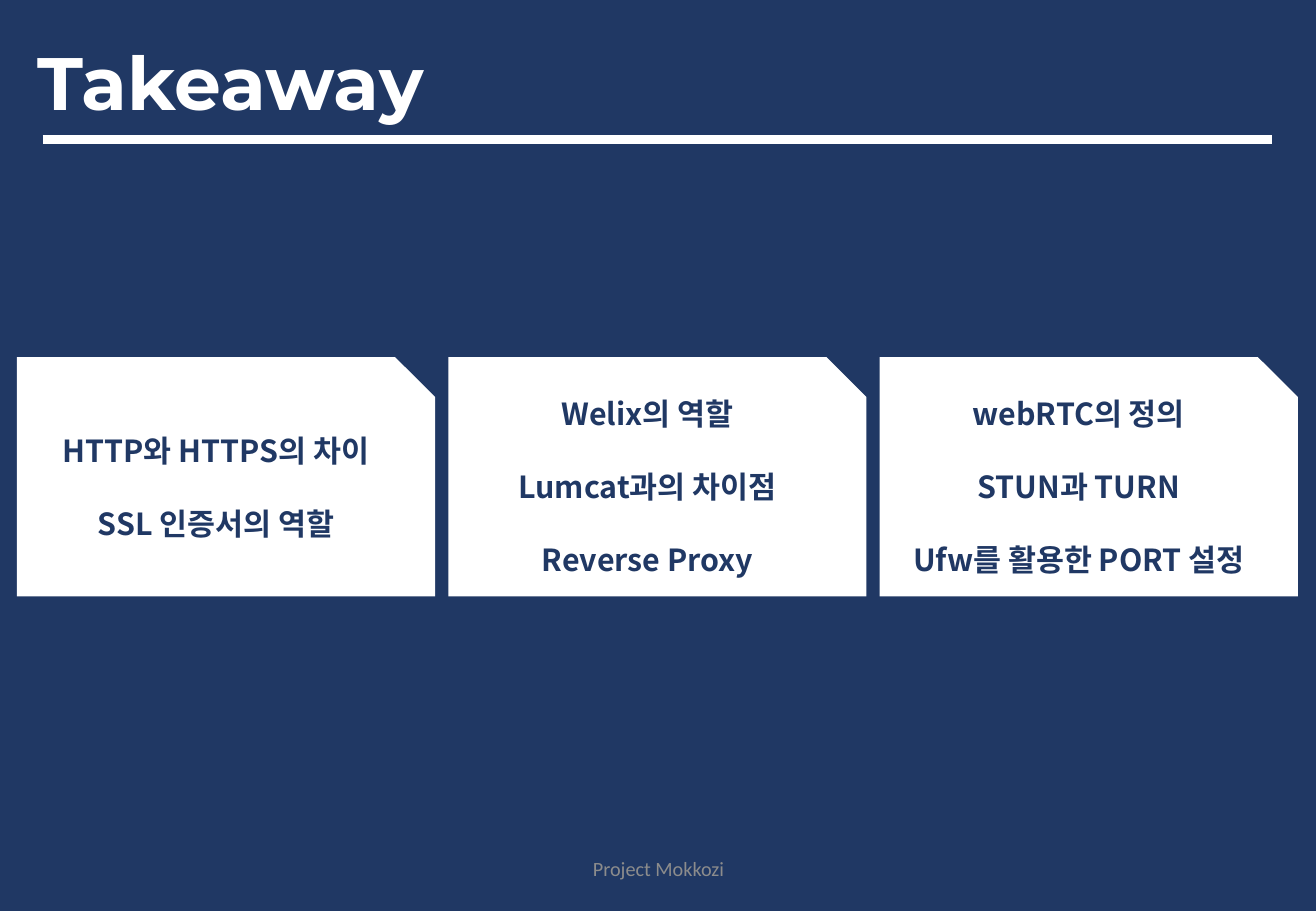
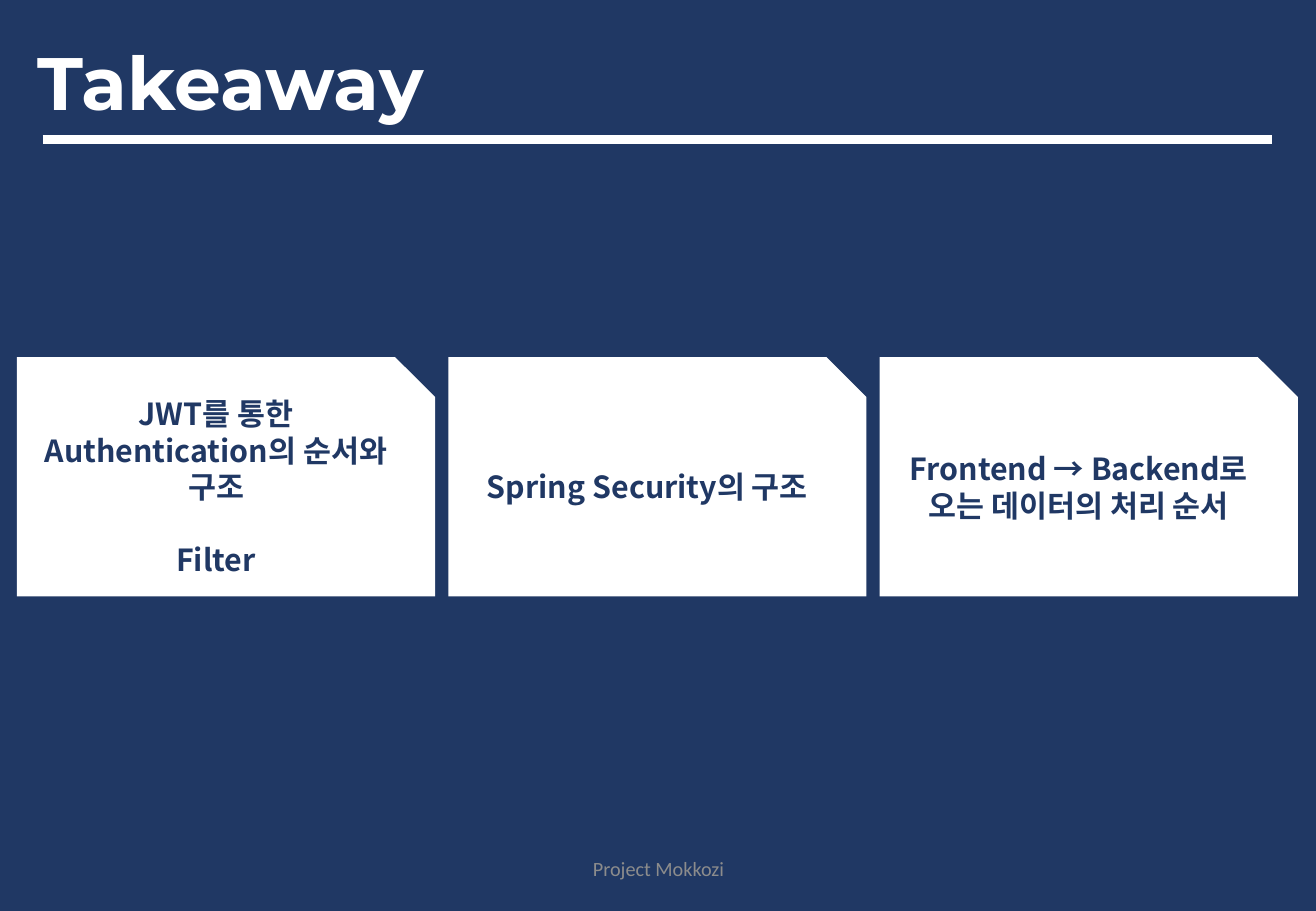
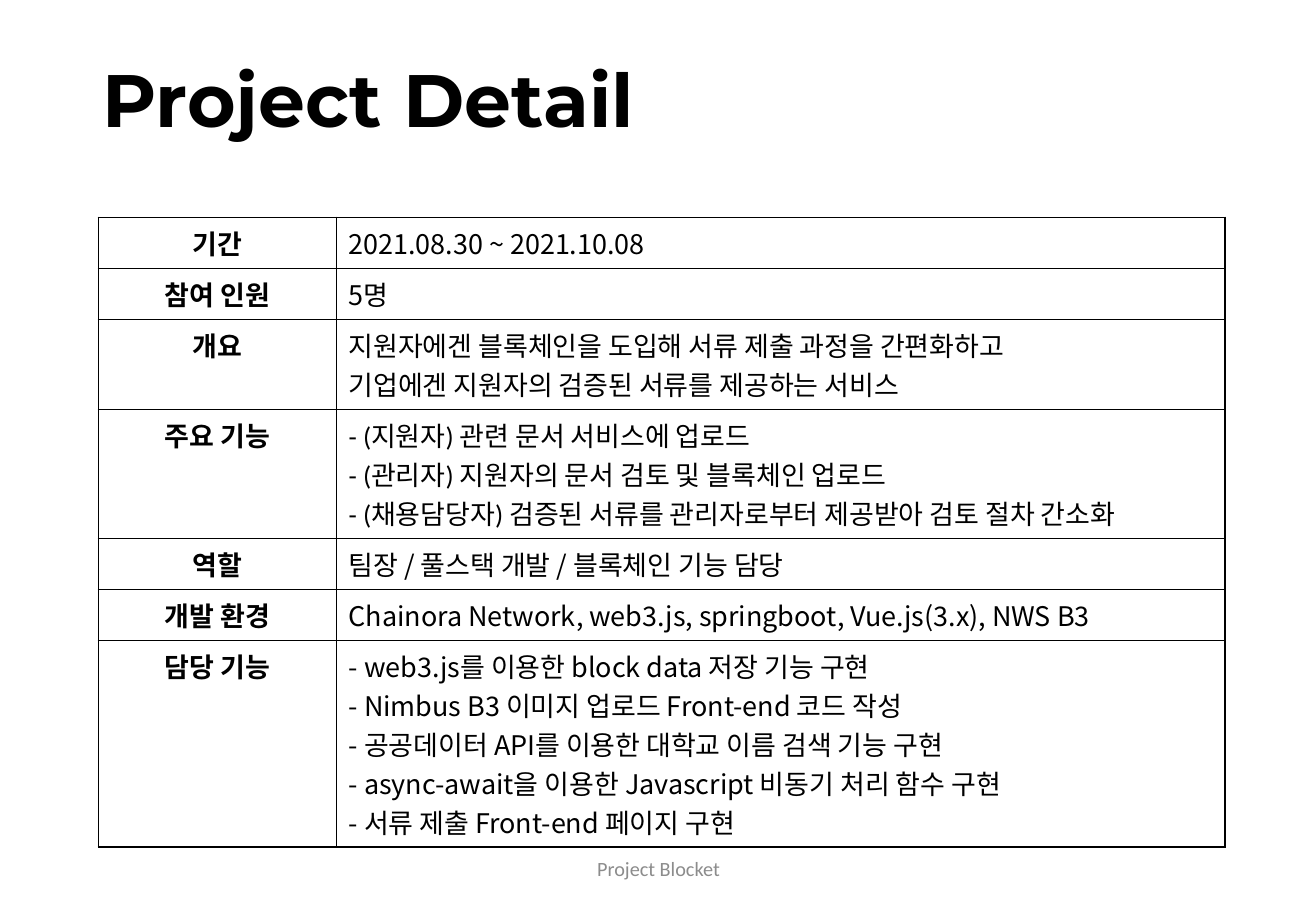
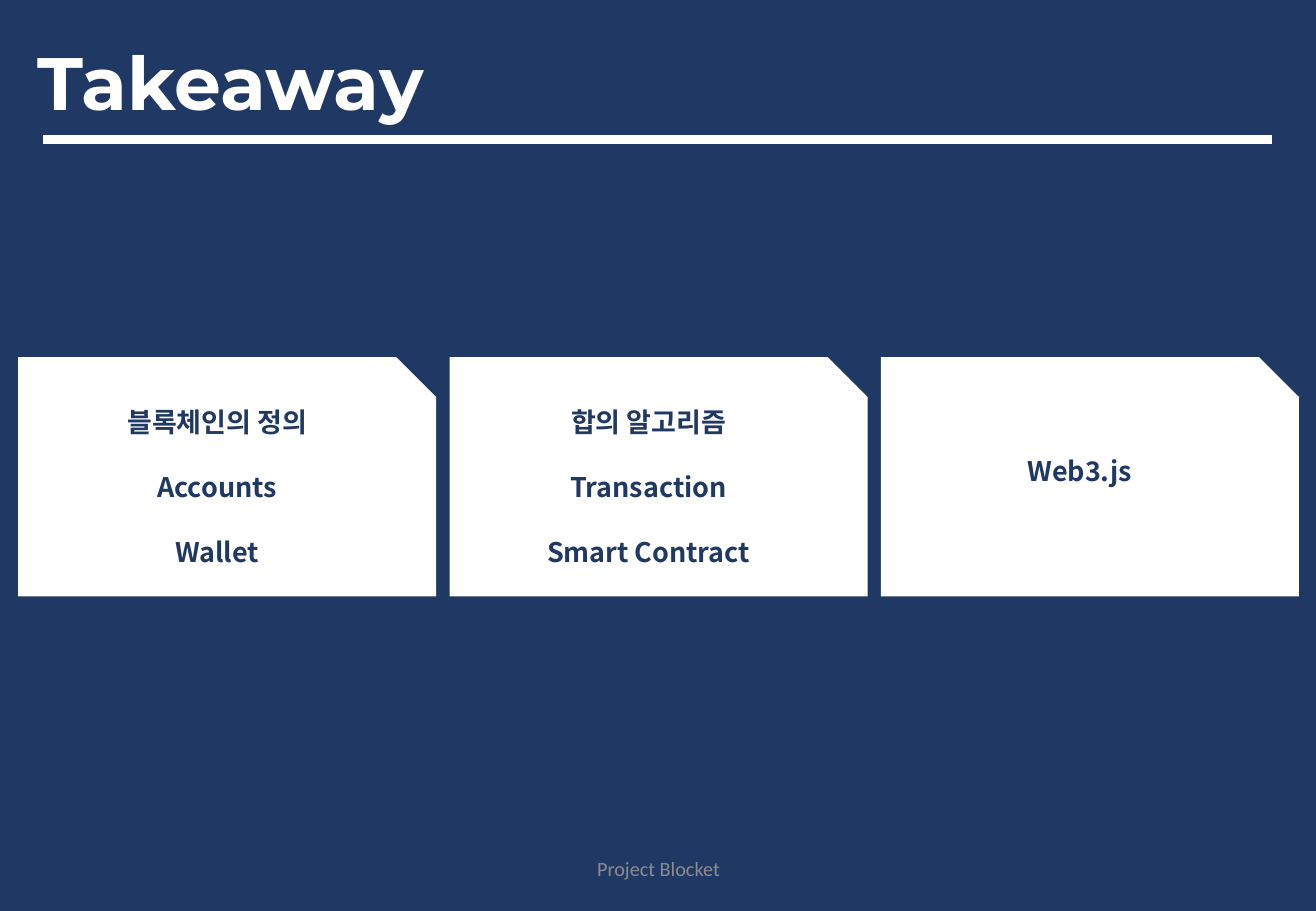
"""Build the project takeaway and detail slides."""
from dataclasses import dataclass

from pptx import Presentation
from pptx.dml.color import RGBColor
from pptx.enum.shapes import MSO_CONNECTOR as Connector, MSO_SHAPE as Shape
from pptx.enum.text import MSO_ANCHOR as Anchor, MSO_AUTO_SIZE as AutoSize, PP_ALIGN as Align
from pptx.oxml.ns import qn
from pptx.util import Inches, Pt
from lxml.etree import SubElement


@dataclass(frozen=True)
class Theme:
    navy: str = "203864"
    white: str = "FFFFFF"
    black: str = "000000"
    gray: str = "8C8C8C"
    title_font: str = "Montserrat"
    body_font: str = "Noto Sans CJK KR"
    plain_font: str = "Calibri"
    title_size: int = 44
    card_size: int = 18
    small_size: int = 16
    footer_size: int = 12
    rule_width: int = 5
    border_width: int = 1
    line_ratio: float = 1.2


class Deck:
    def __init__(self, theme):
        self.theme = theme
        self.prs = Presentation()
        self.prs.slide_width = Inches(10.83)
        self.prs.slide_height = Inches(7.5)
        self.slide = None

    def add_slide(self, background):
        self.slide = self.prs.slides.add_slide(self.prs.slide_layouts[5])
        fill = self.slide.background.fill
        fill.solid()
        fill.fore_color.rgb = RGBColor.from_string(background)

    def set_text(self, frame, lines, font, size, color, bold=False, align=Align.LEFT):
        frame.text = "\n".join(lines)
        frame.word_wrap = True
        for paragraph in frame.paragraphs:
            paragraph.alignment = align
            for run in paragraph.runs:
                run.font.name = font
                run.font.size = Pt(size)
                run.font.bold = bold
                run.font.color.rgb = RGBColor.from_string(color)
                east_asian = SubElement(run.font._element, qn("a:ea"))
                east_asian.set("typeface", self.theme.body_font)

    def title(self, text, left, top, color):
        title = self.slide.shapes.title
        title.left, title.top = Inches(left), Inches(top)
        title.width, title.height = Inches(9.34), Inches(1.14)
        frame = title.text_frame
        self.set_text(frame, [text], self.theme.title_font, self.theme.title_size, color, bold=True)
        frame.auto_size = AutoSize.NONE
        frame.vertical_anchor = Anchor.MIDDLE
        frame.paragraphs[0].line_spacing = 0.9

    def footer(self, text):
        frame = self.slide.shapes.add_textbox(
            Inches(3.59), Inches(6.95), Inches(3.66), Inches(0.4)).text_frame
        self.set_text(frame, [text], self.theme.plain_font, self.theme.footer_size,
                      self.theme.gray, align=Align.CENTER)
        frame.vertical_anchor = Anchor.MIDDLE

    def title_rule(self):
        rule = self.slide.shapes.add_connector(
            Connector.STRAIGHT, Inches(0.35), Inches(1.15), Inches(10.47), Inches(1.15))
        rule.line.color.rgb = RGBColor.from_string(self.theme.white)
        rule.line.width = Pt(self.theme.rule_width)
        SubElement(rule._element.spPr, qn("a:effectLst"))

    def card(self, left, topics, size, raise_by):
        card = self.slide.shapes.add_shape(
            Shape.SNIP_1_RECTANGLE, Inches(left), Inches(2.94), Inches(3.44), Inches(1.97))
        card.shadow.inherit = False
        card.fill.solid()
        card.fill.fore_color.rgb = RGBColor.from_string(self.theme.white)
        card.line.fill.background()
        frame = card.text_frame
        self.set_text(frame, topics, self.theme.body_font, size, self.theme.navy,
                      bold=True, align=Align.CENTER)
        frame.vertical_anchor = Anchor.MIDDLE
        frame.margin_bottom = Inches(0.05 + raise_by)
        pitch = Pt(size * self.theme.line_ratio)
        for index, paragraph in enumerate(frame.paragraphs):
            paragraph.line_spacing = pitch
            if index:
                paragraph.space_before = pitch

    def takeaway(self, project, cards, size, left=0.14, last_raise=0):
        self.add_slide(self.theme.navy)
        self.title("Takeaway", 0.21, 0.14, self.theme.white)
        self.title_rule()
        self.footer(project)
        for index, topics in enumerate(cards):
            raise_by = last_raise if index == len(cards) - 1 else 0
            self.card(left + index * 3.55, topics, size, raise_by)

    def border(self, cell):
        properties = cell._tc.get_or_add_tcPr()
        for position, side in enumerate(("a:lnL", "a:lnR", "a:lnT", "a:lnB")):
            edge = properties.makeelement(qn(side), {"w": str(Pt(self.theme.border_width))})
            paint = SubElement(edge, qn("a:solidFill"))
            SubElement(paint, qn("a:srgbClr")).set("val", self.theme.black)
            properties.insert(position, edge)

    def table(self, rows):
        heights = [Inches(0.1 + 0.32 * len(lines)) for _, lines, _ in rows]
        table = self.slide.shapes.add_table(
            len(rows), 2, Inches(0.81), Inches(1.79), Inches(9.27), sum(heights)).table
        table.first_row = table.horz_banding = False
        table.columns[0].width = Inches(1.96)
        table.columns[1].width = Inches(7.31)
        for index, (label, lines, font) in enumerate(rows):
            table.rows[index].height = heights[index]
            heading, detail = table.cell(index, 0), table.cell(index, 1)
            self.set_text(heading.text_frame, [label], self.theme.body_font,
                          self.theme.small_size, self.theme.black, bold=True, align=Align.CENTER)
            self.set_text(detail.text_frame, lines, font, self.theme.small_size, self.theme.black)
            for cell in (heading, detail):
                cell.fill.solid()
                cell.fill.fore_color.rgb = RGBColor.from_string(self.theme.white)
                self.border(cell)

    def project_detail(self, project, rows):
        self.add_slide(self.theme.white)
        self.title("Project Detail", 0.74, 0.28, self.theme.black)
        self.table(rows)
        self.footer(project)


def main():
    theme = Theme()
    deck = Deck(theme)
    mokkozi, blocket = "Project Mokkozi", "Project Blocket"
    deck.takeaway(mokkozi, [
        ["HTTP와 HTTPS의 차이", "SSL 인증서의 역할"],
        ["Welix의 역할", "Lumcat과의 차이점", "Reverse Proxy"],
        ["webRTC의 정의", "STUN과 TURN", "Ufw를 활용한 PORT 설정"],
    ], theme.card_size)
    deck.takeaway(mokkozi, [
        ["JWT를 통한 Authentication의 순서와 구조", "Filter"],
        ["Spring Security의 구조"],
        ["Frontend → Backend로 오는 데이터의 처리 순서"],
    ], theme.card_size)
    deck.project_detail(blocket, [
        ("기간", ["2021.08.30 ~ 2021.10.08"], theme.body_font),
        ("참여 인원", ["5명"], theme.body_font),
        ("개요", ["지원자에겐 블록체인을 도입해 서류 제출 과정을 간편화하고",
                "기업에겐 지원자의 검증된 서류를 제공하는 서비스"], theme.plain_font),
        ("주요 기능", ["- (지원자) 관련 문서 서비스에 업로드",
                   "- (관리자) 지원자의 문서 검토 및 블록체인 업로드",
                   "- (채용담당자) 검증된 서류를 관리자로부터 제공받아 검토 절차 간소화"],
         theme.plain_font),
        ("역할", ["팀장 / 풀스택 개발 / 블록체인 기능 담당"], theme.body_font),
        ("개발 환경", ["Chainora Network, web3.js, springboot, Vue.js(3.x), NWS B3"],
         theme.body_font),
        ("담당 기능", ["- web3.js를 이용한 block data 저장 기능 구현",
                   "- Nimbus B3 이미지 업로드 Front-end 코드 작성",
                   "- 공공데이터 API를 이용한 대학교 이름 검색 기능 구현",
                   "- async-await을 이용한 Javascript 비동기 처리 함수 구현",
                   "- 서류 제출 Front-end 페이지 구현"], theme.body_font),
    ])
    deck.takeaway(blocket, [
        ["블록체인의 정의", "Accounts", "Wallet"],
        ["합의 알고리즘", "Transaction", "Smart Contract"],
        ["Web3.js"],
    ], theme.small_size, left=0.15, last_raise=0.27)
    deck.prs.save("out.pptx")


if __name__ == "__main__":
    main()
